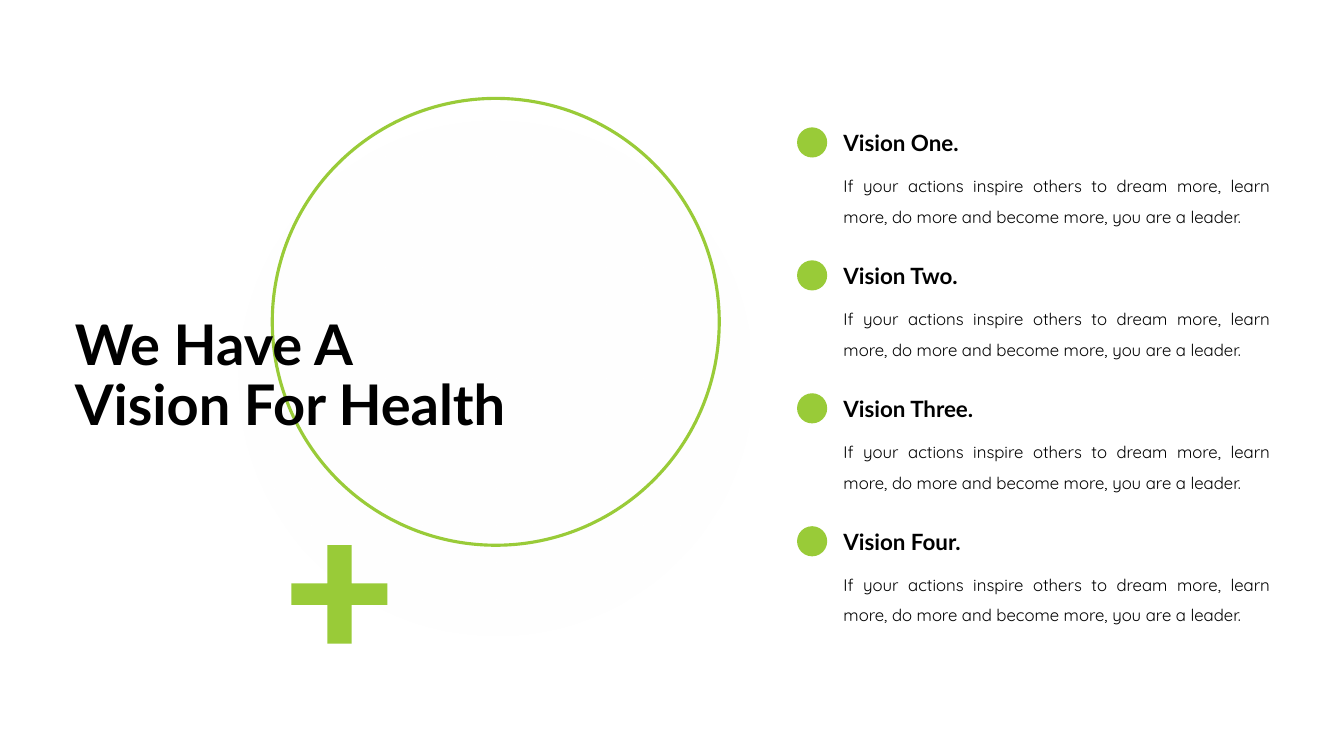
from pptx import Presentation
from pptx import util as u
from pptx.dml.color import RGBColor
from pptx.enum import shapes, text
from pptx.oxml import ns
from lxml import etree


def colour(value):
    return RGBColor.from_string(value)


def write(frame, content, font="Lato", size=16, bold=False, ink="000000",
          spacing=1.0, align=text.PP_ALIGN.LEFT, anchor=text.MSO_ANCHOR.MIDDLE,
          fit=text.MSO_AUTO_SIZE.SHAPE_TO_FIT_TEXT):
    frame.word_wrap = True
    frame.auto_size = fit
    frame.vertical_anchor = anchor
    para = frame.paragraphs[0]
    para.alignment = align
    para.line_spacing = spacing
    for index, line in enumerate(content.split("\n")):
        if index:
            para.add_line_break()
        span = para.add_run()
        span.text = line
        span.font.name = font
        span.font.size = u.Pt(size)
        span.font.bold = bold
        span.font.color.rgb = colour(ink)


class VisionSlide:
    """Style and drawing methods for the current slide."""
    green = "99CB38"
    white = "FFFFFF"

    def __init__(self, deck):
        self.page = deck.slides.add_slide(deck.slide_layouts[5])

    def title(self, content, left, top, width, height):
        box = self.page.shapes.title
        box.left, box.top = u.Cm(left), u.Cm(top)
        box.width, box.height = u.Cm(width), u.Cm(height)
        write(box.text_frame, content, size=40, bold=True, spacing=0.9,
              fit=text.MSO_AUTO_SIZE.NONE)
        box.element.getparent().append(box.element)

    def label(self, content, left, top, width, height, **style):
        box = self.page.shapes.add_textbox(
            u.Cm(left), u.Cm(top), u.Cm(width), u.Cm(height))
        write(box.text_frame, content, **style)

    def circle(self, left, top, size, fill=None, line=None):
        disc = self.page.shapes.add_shape(
            shapes.MSO_SHAPE.OVAL, u.Cm(left), u.Cm(top), u.Cm(size), u.Cm(size))
        disc.shadow.inherit = False
        if fill:
            disc.fill.solid()
            disc.fill.fore_color.rgb = colour(fill)
        else:
            disc.fill.background()
        if line:
            disc.line.color.rgb = colour(line)
            disc.line.width = u.Pt(2.25)
        else:
            disc.line.fill.background()
        return disc

    def fading_circle(self, left, top, size):
        disc = self.circle(left, top, size)
        disc.rotation = 90
        disc.fill.gradient()
        disc.fill.gradient_angle = 270
        for stop, position in zip(disc.fill.gradient_stops, (0, 1)):
            stop.position = position
            stop.color.rgb = colour(self.white)
        tints = disc.element.iter(ns.qn("a:srgbClr"))
        for tint, opacity in zip(list(tints), (0, 70000)):
            etree.SubElement(tint, ns.qn("a:alpha"), val=str(opacity))

    def plus(self, xs, ys):
        x0, x1, x2, x3 = xs
        y0, y1, y2, y3 = ys
        corners = [(x1, y0), (x2, y0), (x2, y1), (x3, y1), (x3, y2), (x2, y2),
                   (x2, y3), (x1, y3), (x1, y2), (x0, y2), (x0, y1), (x1, y1)]
        points = [(u.Cm(x), u.Cm(y)) for x, y in corners]
        outline = self.page.shapes.build_freeform(*points[0])
        outline.add_line_segments(points[1:], close=True)
        cross = outline.convert_to_shape()
        cross.shadow.inherit = False
        cross.fill.solid()
        cross.fill.fore_color.rgb = colour(self.green)
        cross.line.fill.background()


def main():
    deck = Presentation()
    deck.slide_width, deck.slide_height = u.Inches(13.33), u.Inches(7.5)
    slide = VisionSlide(deck)
    slide.fading_circle(6, 3.03, 12.99)
    slide.circle(6.86, 2.48, 11.26, line=slide.green)
    slide.plus((7.34, 8.25, 8.86, 9.76), (13.74, 14.7, 15.24, 16.22))

    advice = ("If your actions inspire others to dream more, learn more, "
              "do more and become more, you are a leader.")
    for row, number in enumerate(("One", "Two", "Three", "Four")):
        top = 3.12 + row * 3.35
        slide.label(f"Vision {number}.", 21, top, 7.24, 0.94, bold=True)
        slide.label(advice, 21, top + 0.94, 11.26, 1.8, font="Quicksand",
                    size=12, spacing=1.5, align=text.PP_ALIGN.JUSTIFY,
                    anchor=text.MSO_ANCHOR.TOP)
        slide.circle(20.08, top + 0.09, 0.76, fill=slide.green)

    slide.title("We Have A\nVision For Health", 1.63, 7.67, 12.9, 3.68)
    deck.save("out.pptx")


if __name__ == "__main__":
    main()
